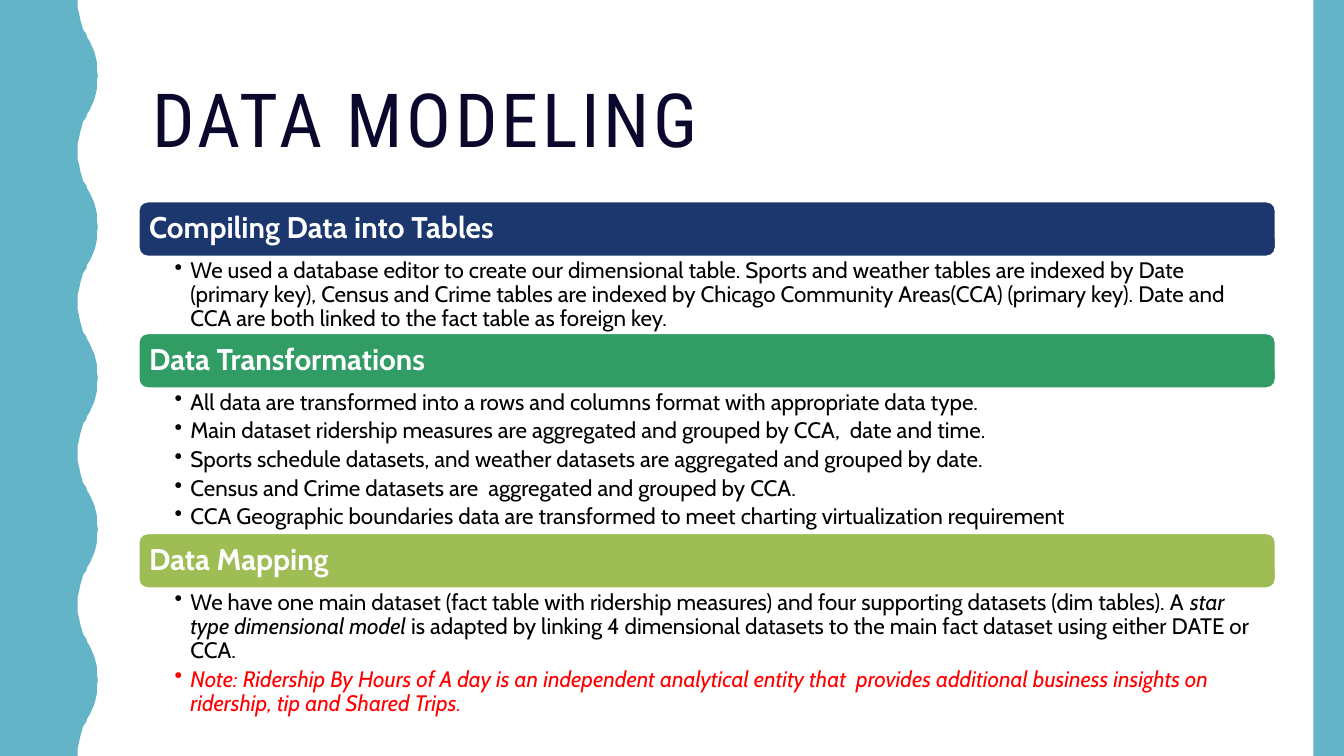
from lxml.etree import SubElement
from pptx import Presentation
from pptx.dml.color import RGBColor
from pptx.enum.shapes import MSO_SHAPE
from pptx.enum.text import MSO_ANCHOR, MSO_AUTO_SIZE, PP_ALIGN
from pptx.oxml.ns import qn
from pptx.util import Cm, Pt

WIDE, HIGH = 25.4, 14.29
COLORS = {
    "ink": "0B082E", "teal": "62B4C6", "navy": "1B376E", "green": "319D65",
    "lime": "9EBE55", "white": "FFFFFF", "black": "000000", "red": "FF0000",
}
TITLE = "DATA MODELING"
PARTS = [
    ("Compiling Data into Tables", "navy", 1.45, [
        ("black", [("We used a database editor to create our dimensional table. Sports and weather tables are indexed by Date (primary key), Census and Crime tables are indexed by Chicago Community Areas(CCA) (primary key). Date and CCA are both linked to the fact table as foreign key.", False)]),
    ]),
    ("Data Transformations", "green", 2.74, [
        ("black", [("All data are transformed into a rows and columns format with appropriate data type.", False)]),
        ("black", [("Main dataset ridership measures are aggregated and grouped by CCA,  date and time.", False)]),
        ("black", [("Sports schedule datasets, and weather datasets are aggregated and grouped by date.", False)]),
        ("black", [("Census and Crime datasets are  aggregated and grouped by CCA.", False)]),
        ("black", [("CCA Geographic boundaries data are transformed to meet charting virtualization requirement", False)]),
    ]),
    ("Data Mapping", "lime", 2.39, [
        ("black", [
            ("We have one main dataset (fact table with ridership measures) and four supporting datasets (dim tables). A ", False),
            ("star type dimensional model ", True),
            ("is adapted by linking 4 dimensional datasets to the main fact dataset using either DATE or CCA.", False),
        ]),
        ("red", [("Note: Ridership By Hours of A day is an independent analytical entity that  provides additional business insights on ridership, tip and Shared Trips.", True)]),
    ]),
]
LEFT, TOP, SPAN, BAND = 2.62, 3.81, 21.49, 1.04
WAVES, PERIOD = 5, 285.75
CURVE = [
    (147, 0), (147, 15), (150, 28), (152, 38), (155, 48), (157, 56),
    (163, 64), (165, 71), (170, 79), (173, 86), (178, 97), (180, 104),
    (183, 117), (183, 130), (185, 143),
]


def color(name):
    return RGBColor.from_string(COLORS[name])


def paint(shape, fill, line=None):
    shape.shadow.inherit = False
    shape.fill.solid()
    shape.fill.fore_color.rgb = color(fill)
    if line:
        shape.line.color.rgb = color(line)
        shape.line.width = Pt(1)
    else:
        shape.line.fill.background()


def style(para, face, size, tint, bold=False):
    para.alignment = PP_ALIGN.LEFT
    para.line_spacing = 0.9
    font = para.font
    font.name, font.size, font.bold = face, Pt(size), bold
    font.color.rgb = color(tint)


def inset(frame, left, top, right):
    frame.word_wrap = True
    frame.margin_left, frame.margin_right = Cm(left), Cm(right)
    frame.margin_top = frame.margin_bottom = Cm(top)


def add_title(slide):
    title = slide.shapes.title
    title.left, title.top = Cm(2.62), Cm(0.79)
    title.width, title.height = Cm(21.21), Cm(3.1)
    frame = title.text_frame
    frame.text = TITLE
    frame.auto_size = MSO_AUTO_SIZE.NONE
    frame.vertical_anchor = MSO_ANCHOR.MIDDLE
    para = frame.paragraphs[0]
    style(para, "Roboto Condensed", 40, "ink")
    para.runs[0].font._element.set("spc", "200")


def add_edges(slide):
    half = CURVE + [(x, PERIOD - y) for x, y in CURVE[-2::-1]]
    wave = [(x, y + n * PERIOD) for n in range(WAVES) for x, y in half]
    pen = slide.shapes.build_freeform(0, 0, scale=Cm(0.01))
    pen.add_line_segments(wave + [(0, WAVES * PERIOD)], close=True)
    paint(pen.convert_to_shape(), "teal")
    bar = slide.shapes.add_shape(
        MSO_SHAPE.RECTANGLE, Cm(24.82), 0, Cm(WIDE - 24.82), Cm(HIGH))
    paint(bar, "teal")


def add_band(slide, top, head, fill):
    band = slide.shapes.add_shape(
        MSO_SHAPE.ROUNDED_RECTANGLE, Cm(LEFT), Cm(top), Cm(SPAN), Cm(BAND))
    paint(band, fill, "white")
    frame = band.text_frame
    inset(frame, 0.15, 0.18, 0.15)
    frame.vertical_anchor = MSO_ANCHOR.MIDDLE
    frame.text = head
    style(frame.paragraphs[0], "Cabin", 16, "white", True)


def add_list(slide, top, high, items):
    box = slide.shapes.add_textbox(Cm(LEFT), Cm(top), Cm(SPAN), Cm(high))
    frame = box.text_frame
    inset(frame, 0.68, 0.05, 0.3)
    for n, (tint, runs) in enumerate(items):
        para = frame.add_paragraph() if n else frame.paragraphs[0]
        props = para._p.get_or_add_pPr()
        props.set("marL", str(Cm(0.3)))
        props.set("indent", str(Cm(-0.3)))
        SubElement(props, qn("a:buChar")).set("char", "•")
        para.space_after = Pt(2.4)
        style(para, "Cabin", 12, tint)
        for text, slant in runs:
            run = para.add_run()
            run.text = text
            run.font.italic = slant


def main():
    deck = Presentation()
    deck.slide_width, deck.slide_height = Cm(WIDE), Cm(HIGH)
    slide = deck.slides.add_slide(deck.slide_layouts[5])
    add_title(slide)
    add_edges(slide)
    top = TOP
    for head, fill, high, items in PARTS:
        add_band(slide, top, head, fill)
        add_list(slide, top + BAND, high, items)
        top += BAND + high
    deck.save("out.pptx")


if __name__ == "__main__":
    main()
